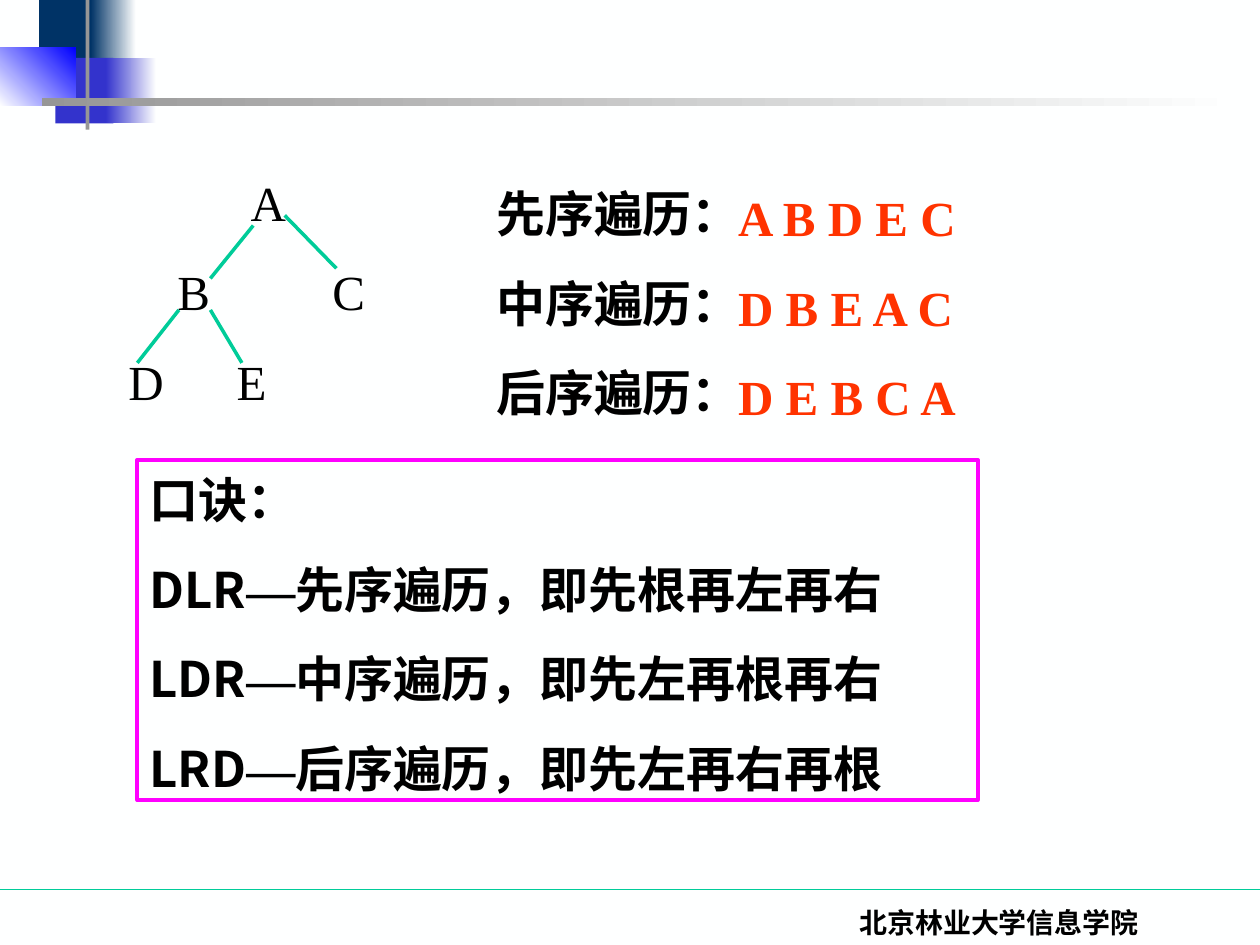
from lxml import etree
from pptx import Presentation
from pptx.dml.color import RGBColor
from pptx.enum import shapes, text
from pptx.oxml.ns import qn
from pptx.util import Emu, Inches, Pt

COLS, ROWS = 100, 75          # grid over the slide
SERIF, SANS = "Times New Roman", "Noto Sans CJK SC"
PAPER, INK, GREEN, GREY = "FEFFFF", "000000", "00CC99", "969696"
NAVY, INDIGO, BLUE = "003366", "3333CC", "0000FF"
ORANGE, MAGENTA = "FF3300", "FF00FF"


def rgb(value):
    return RGBColor.from_string(value)


def add_run(p, words, font=SERIF, size=28, color=INK, bold=False):
    r = p.add_run()
    r.text = words
    f = r.font
    f.name, f.size, f.bold = font, Pt(size), bold
    f.color.rgb = rgb(color)
    has_cjk = any(ch >= "⺀" for ch in words)
    ea = etree.SubElement(f._element, qn("a:ea"))
    ea.set("typeface", SANS if has_cjk else font)


class Deck:
    def __init__(self):
        self.prs = Presentation()
        self.prs.slide_width, self.prs.slide_height = Inches(10), Inches(7.5)
        self.s = self.prs.slides.add_slide(self.prs.slide_layouts[6])
        self.s.background.fill.solid()
        self.s.background.fill.fore_color.rgb = rgb(PAPER)

    def x(self, cols):
        return Emu(round(self.prs.slide_width * cols / COLS))

    def y(self, rows):
        return Emu(round(self.prs.slide_height * rows / ROWS))

    def box(self, at):
        return self.x(at[0]), self.y(at[1]), self.x(at[2]), self.y(at[3])

    def rect(self, at, fill=None, fade=None, angle=0, line=None):
        sp = self.s.shapes.add_shape(shapes.MSO_SHAPE.RECTANGLE, *self.box(at))
        sp.shadow.inherit = False
        if fade:
            sp.fill.gradient()
            sp.fill.gradient_angle = angle
            for stop, color in zip(sp.fill.gradient_stops, (fill, fade)):
                stop.color.rgb = rgb(color)
        elif fill:
            sp.fill.solid()
            sp.fill.fore_color.rgb = rgb(fill)
        else:
            sp.fill.background()
        if line:
            sp.line.color.rgb = rgb(line)
            sp.line.width = Pt(2.25)
        else:
            sp.line.fill.background()
        return sp

    def line(self, x1, y1, x2, y2, width):
        c = self.s.shapes.add_connector(
            shapes.MSO_CONNECTOR.STRAIGHT,
            self.x(x1), self.y(y1), self.x(x2), self.y(y2))
        c.line.color.rgb = rgb(GREEN)
        c.line.width = Pt(width)
        etree.SubElement(c._element.spPr, qn("a:effectLst"))

    def fill_text(self, sp, paragraphs, align=text.PP_ALIGN.LEFT, tabs=None, **fmt):
        """Each paragraph is a string or a list of (words, font) pairs."""
        tf = sp.text_frame
        tf.word_wrap = True
        tf.vertical_anchor = text.MSO_ANCHOR.TOP
        tf.margin_top, tf.margin_bottom = Inches(0.08), Inches(0.02)
        for i, parts in enumerate(paragraphs):
            p = tf.paragraphs[0] if i == 0 else tf.add_paragraph()
            p.alignment = align
            p.line_spacing = Pt(1.2 * fmt.get("size", 28))
            if i:
                p.space_before = Pt(17.5)
            if tabs and tabs[i]:
                lst = etree.SubElement(p._p.get_or_add_pPr(), qn("a:tabLst"))
                for stop in tabs[i]:
                    etree.SubElement(lst, qn("a:tab"), pos=str(self.x(stop)), algn="l")
            if isinstance(parts, str):
                parts = [(parts, SERIF)]
            for words, font in parts:
                add_run(p, words, font=font, **fmt)

    def text(self, at, paragraphs, **fmt):
        self.fill_text(self.s.shapes.add_textbox(*self.box(at)), paragraphs, **fmt)


def main():
    d = Deck()

    # Footer rule and corner ornament
    d.line(0, 70.6, 100, 70.6, 0.75)
    d.rect((3.1, 0, 4.8, 5.2), NAVY)
    d.rect((7.2, 0, 3.6, 5.2), NAVY, fade=PAPER)
    d.rect((4.4, 4.6, 4.6, 5.2), INDIGO)
    d.rect((8.4, 4.6, 4, 5.2), INDIGO, fade=PAPER)
    d.rect((0, 3.8, 6, 4.6), PAPER, fade=BLUE, angle=45)
    d.rect((6.8, 0, 0.3, 10.3), GREY)
    d.rect((3.3, 7.8, 95.1, 0.6), GREY, fade=PAPER)
    d.text((58.6, 71.1, 41.4, 3.9), ["北京林业大学信息学院"],
           align=text.PP_ALIGN.CENTER, size=16, bold=True)

    # Binary tree: one paragraph per level, nodes on tab stops
    d.text((9.2, 12.9, 27.5, 19.9), ["\tA", "\tB\tC", "D\tE"],
           tabs=[[9.7], [3.9, 16.2], [8.6]])
    for edge in [(20.1, 17.9, 16.7, 22.1), (22.6, 17.1, 26.7, 21.3),
                 (16.7, 24.6, 19.2, 28.8), (14.2, 24.6, 10.9, 28.8)]:
        d.line(*edge, 2)

    # Traversal orders and their results
    orders = ["先序遍历", "中序遍历", "后序遍历"]
    d.text((38.4, 13.8, 22.3, 19.9), [f"{name}：" for name in orders], bold=True)
    d.text((57.6, 14.1, 20, 19.9), ["A B D E C", "D B E A C", "D E B C A"],
           color=ORANGE, bold=True)

    # Mnemonic
    rules = zip(["DLR", "LDR", "LRD"], orders,
                ["先根再左再右", "先左再根再右", "先左再右再根"])
    lines = [[(code, SANS), ("—", SERIF), (f"{name}，即{rule}", SANS)]
             for code, name, rule in rules]
    d.fill_text(d.rect((10.9, 36.5, 66.7, 27), line=MAGENTA),
                [[("口诀：", SANS)]] + lines, bold=True)

    d.prs.save("out.pptx")


if __name__ == "__main__":
    main()
